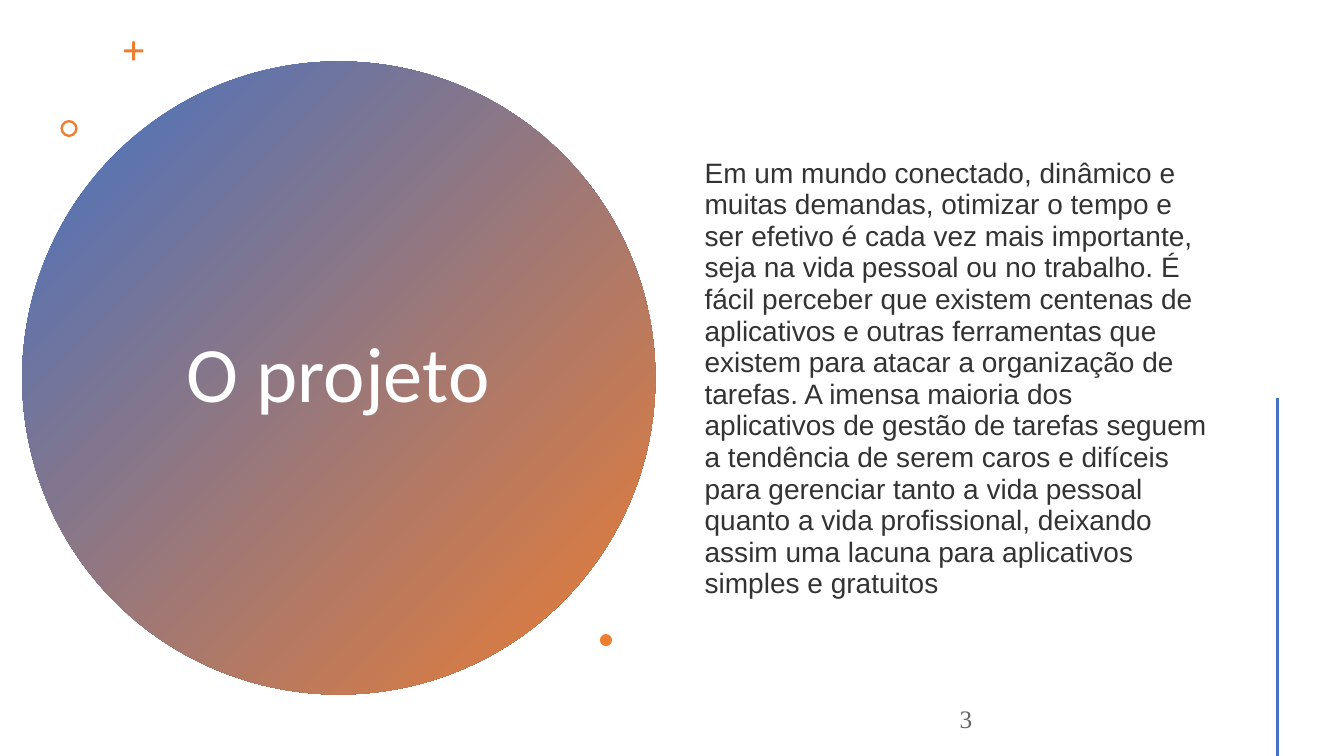
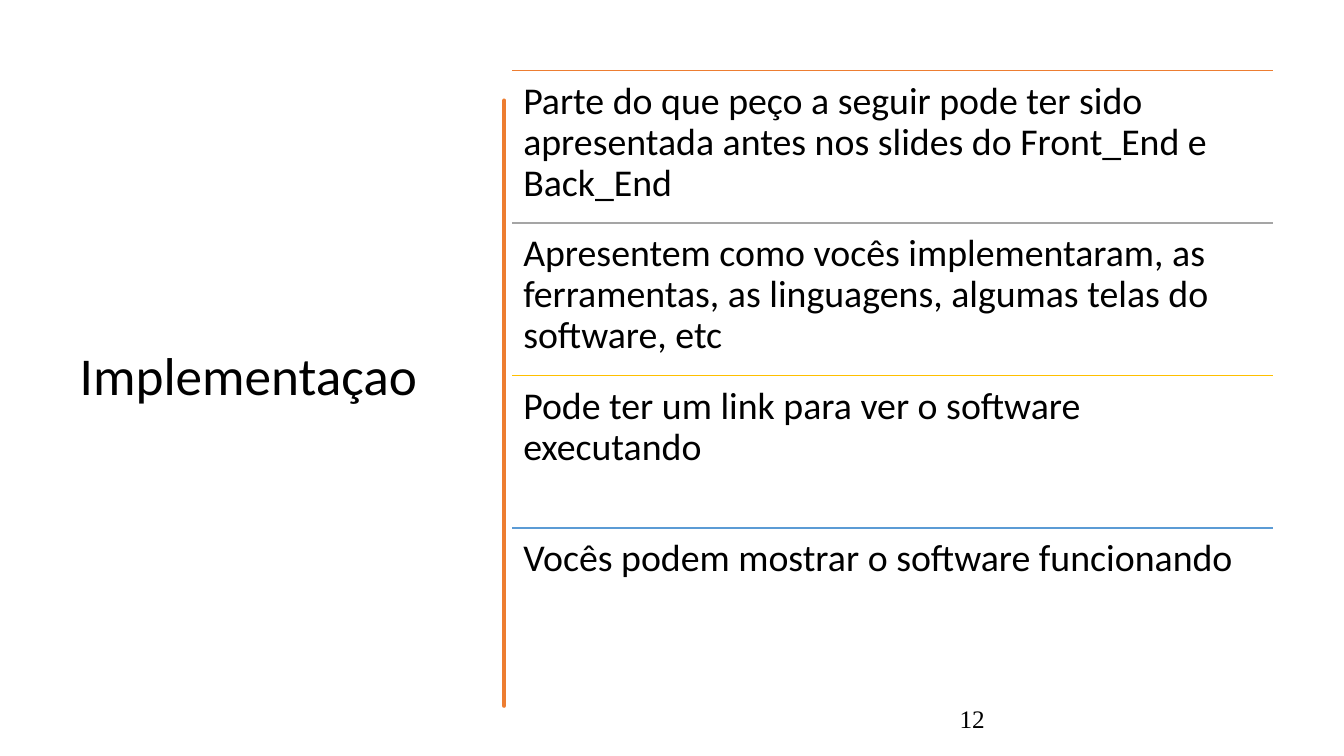
from lxml import etree
from pptx import Presentation
from pptx.dml.color import RGBColor
from pptx.enum import shapes, text
from pptx.oxml.ns import qn
from pptx.util import Inches, Pt

WIDTH, HEIGHT = 13.33, 7.5
BLUE, ORANGE, BLACK, WHITE = "4472C4", "ED7D31", "000000", "FFFFFF"
DARK_GREY, MID_GREY = "333333", "666666"
TITLE_FONT, BODY_FONT, NUMBER_FONT = "Calibri", "Arial", "Times New Roman"
LINE_SPACING = 0.9

PROJECT = {
    "title": "O projeto",
    "number": "3",
    "body": "Em um mundo conectado, dinâmico e muitas demandas, otimizar o tempo e "
            "ser efetivo é cada vez mais importante, seja na vida pessoal ou no "
            "trabalho. É fácil perceber que existem centenas de aplicativos e outras "
            "ferramentas que existem para atacar a organização de tarefas. A imensa "
            "maioria dos aplicativos de gestão de tarefas seguem a tendência de serem "
            "caros e difíceis para gerenciar tanto a vida pessoal quanto a vida "
            "profissional, deixando assim uma lacuna para aplicativos simples e "
            "gratuitos",
}
IMPLEMENTATION = {
    "title": "Implementaçao",
    "number": "12",
    "steps": [
        (ORANGE, "Parte do que peço a seguir pode ter sido apresentada antes nos "
                 "slides do Front_End e Back_End"),
        ("A5A5A5", "Apresentem como vocês implementaram, as ferramentas, as "
                   "linguagens, algumas telas do software, etc"),
        ("FFC000", "Pode ter um link para ver o software executando"),
        ("5B9BD5", "Vocês podem mostrar o software funcionando"),
    ],
}
# Ornament: preset, left, top, size, adjustment
ORNAMENTS = [
    (shapes.MSO_SHAPE.CROSS, 1.23, 0.41, 0.19, 0.42),
    (shapes.MSO_SHAPE.DONUT, 0.6, 1.19, 0.17, 0.14),
    (shapes.MSO_SHAPE.OVAL, 5.95, 6.29, 0.12, None),
]
# Brush stroke: sideways wobble of each edge, in hundredths of an inch, top to bottom
STROKE_RIGHT = [0, 1, 1, 0, 0, 0, 0, 0, 1, 1, 0, 0, 1, 2, 1, 0, 1, 0, 0, 0]
STROKE_LEFT = [0, 0, -1, -2, 0, 0, 0, -1, 0, 0, -1, 0, 0, 0, 0, 0, 0, -1, -1, 0]


def color(hex_code):
    return RGBColor.from_string(hex_code)


def format_text(shape, words, size, font, hex_code, anchor=text.MSO_ANCHOR.MIDDLE,
                align=text.PP_ALIGN.LEFT, spacing=LINE_SPACING):
    frame = shape.text_frame
    frame.text = words
    frame.word_wrap = True
    frame.auto_size = text.MSO_AUTO_SIZE.NONE
    frame.vertical_anchor = anchor
    paragraph = frame.paragraphs[0]
    paragraph.alignment = align
    paragraph.line_spacing = spacing
    run_font = paragraph.runs[0].font
    run_font.size, run_font.name = Pt(size), font
    run_font.color.rgb = color(hex_code)
    return frame


def add_text(slide, box, words, size, font, hex_code, **style):
    area = slide.shapes.add_textbox(*map(Inches, box))
    return format_text(area, words, size, font, hex_code, **style)


def add_rule(slide, start, end, hex_code, weight):
    rule = slide.shapes.add_connector(
        shapes.MSO_CONNECTOR.STRAIGHT, *map(Inches, start + end))
    rule.line.color.rgb = color(hex_code)
    rule.line.width = Pt(weight)
    etree.SubElement(rule.element.spPr, qn("a:effectLst"))


def add_solid(slide, preset, box, hex_code, adjustment=None):
    solid = slide.shapes.add_shape(preset, *map(Inches, box))
    solid.shadow.inherit = False
    solid.fill.solid()
    solid.fill.fore_color.rgb = color(hex_code)
    solid.line.fill.background()
    if adjustment is not None:
        solid.adjustments[0] = adjustment
    return solid


def add_titled_slide(deck, content, title_box, size, hex_code, number_color,
                     align=text.PP_ALIGN.LEFT):
    """Add a title-only slide with its styled title and its page number."""
    slide = deck.slides.add_slide(deck.slide_layouts[5])
    title = slide.shapes.title
    title.left, title.top, title.width, title.height = map(Inches, title_box)
    format_text(title, content["title"], size, TITLE_FONT, hex_code, align=align)
    add_text(slide, (9.42, 6.95, 3, 0.4), content["number"], 18, NUMBER_FONT,
             number_color)
    return slide


def build_project(deck):
    slide = add_titled_slide(deck, PROJECT, (1.36, 1.41, 3.99, 4.67), 56, WHITE,
                             MID_GREY, text.PP_ALIGN.CENTER)
    disc = add_solid(slide, shapes.MSO_SHAPE.OVAL, (0.22, 0.61, 6.28, 6.28), BLUE)
    disc.fill.gradient()
    disc.fill.gradient_angle = 315
    for stop, position, shade in zip(disc.fill.gradient_stops, (0, 1), (BLUE, ORANGE)):
        stop.position = position
        stop.color.rgb = color(shade)
    disc.element.addnext(slide.shapes.title.element)

    for preset, left, top, size, adjustment in ORNAMENTS:
        add_solid(slide, preset, (left, top, size, size), ORANGE, adjustment)
    add_text(slide, (6.89, 0.57, 5.22, 6.38), PROJECT["body"], 20, BODY_FONT,
             DARK_GREY, spacing=0.94)
    add_rule(slide, (12.67, 3.95), (12.67, HEIGHT), BLUE, 2)


def add_brush_stroke(slide, center, top, bottom):
    step = (bottom - top) / (len(STROKE_RIGHT) - 1)

    def edge(offsets, side):
        return [(center + side + offset / 100, top + i * step)
                for i, offset in enumerate(offsets)]

    outline = edge(STROKE_RIGHT, 0.01) + edge(STROKE_LEFT, -0.01)[::-1]
    builder = slide.shapes.build_freeform(*outline[0], scale=Inches(1))
    builder.add_line_segments(outline[1:], close=True)
    stroke = builder.convert_to_shape()
    stroke.shadow.inherit = False
    stroke.fill.solid()
    stroke.fill.fore_color.rgb = color(ORANGE)
    stroke.line.color.rgb = color(ORANGE)
    stroke.line.width = Pt(3.25)


def build_implementation(deck):
    slide = add_titled_slide(deck, IMPLEMENTATION, (0.69, 0.7, 3.74, 6.11), 38, BLACK,
                             BLACK)
    add_brush_stroke(slide, 4.74, 0.84, 6.76)

    left, top, width, bottom = 5.08, 0.7, 7.55, 6.75
    steps = IMPLEMENTATION["steps"]
    row = (bottom - top) / len(steps)
    for i, (shade, words) in enumerate(steps):
        y = top + i * row
        add_rule(slide, (left, y), (left + width, y), shade, 1)
        frame = add_text(slide, (left, y, width, row), words, 27, TITLE_FONT, BLACK,
                         anchor=text.MSO_ANCHOR.TOP)
        frame.margin_left = frame.margin_right = Inches(0.11)
        frame.margin_top = frame.margin_bottom = Inches(0.11)


def main():
    deck = Presentation()
    deck.slide_width, deck.slide_height = Inches(WIDTH), Inches(HEIGHT)
    build_project(deck)
    build_implementation(deck)
    deck.save("out.pptx")


if __name__ == "__main__":
    main()
